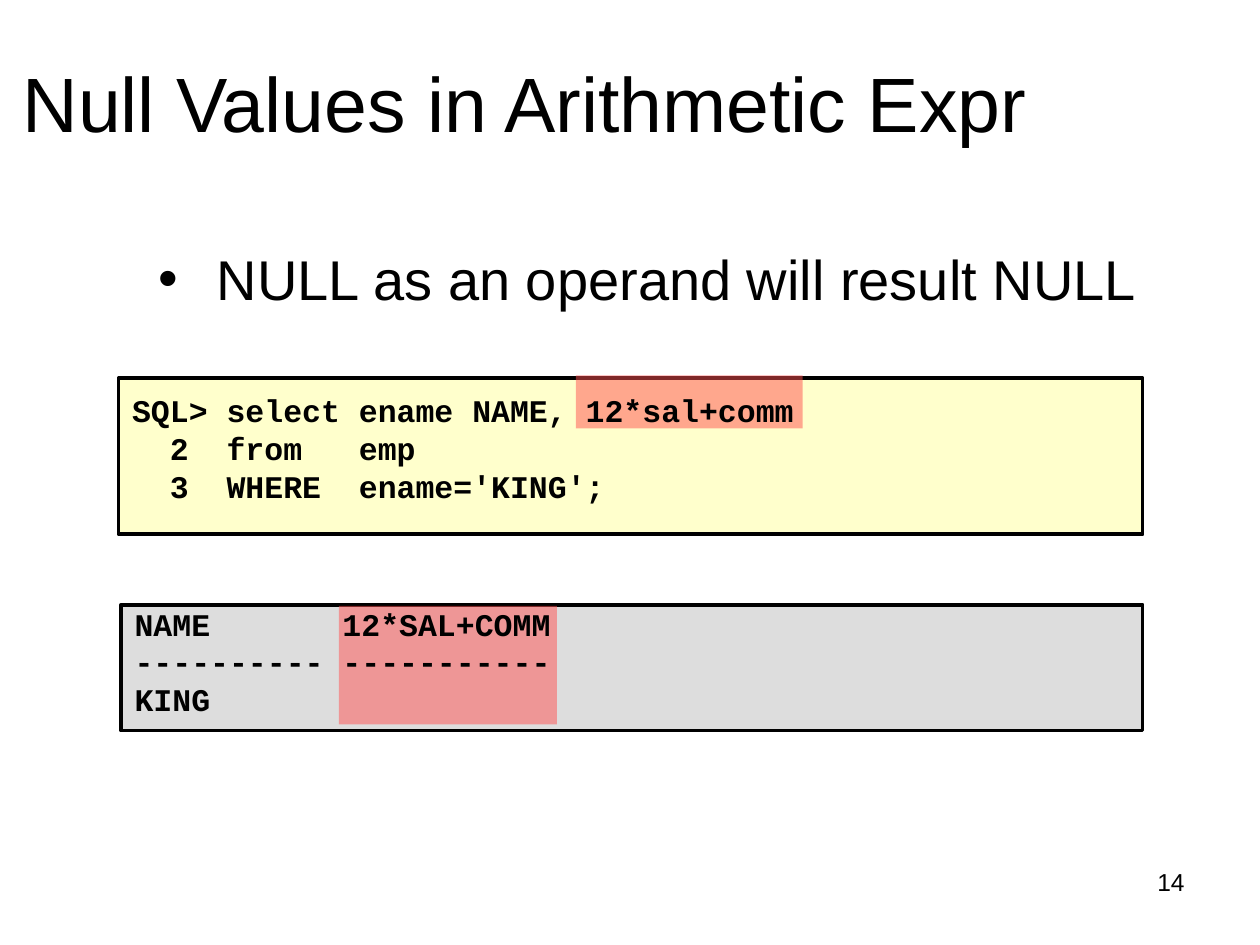
from lxml import etree
from pptx import Presentation
from pptx.dml.color import RGBColor
from pptx.enum import shapes, text
from pptx.oxml.ns import qn
from pptx.util import Inches, Pt

COLORS = {"ink": "000000", "query": "FFFFCC", "result": "DDDDDD", "highlight": "FF5050"}

QUERY = [
    "SQL> select ename NAME, 12*sal+comm",
    "  2  from   emp",
    "  3  WHERE  ename='KING';",
]
RESULT = [
    "NAME       12*SAL+COMM",
    "---------- -----------",
    "KING",
]


def color(name):
    return RGBColor.from_string(COLORS[name])


def add_text(slide, box, lines, size, font="Arial", bold=False,
             anchor=text.MSO_ANCHOR.TOP, align=text.PP_ALIGN.LEFT):
    frame = slide.shapes.add_textbox(*map(Inches, box)).text_frame
    frame.word_wrap = True
    frame.vertical_anchor = anchor
    for number, line in enumerate(lines):
        paragraph = frame.add_paragraph() if number else frame.paragraphs[0]
        paragraph.alignment = align
        run = paragraph.add_run()
        run.text = line
        run.font.size = Pt(size)
        run.font.name = font
        run.font.bold = bold
        run.font.color.rgb = color("ink")
    return frame


def add_rectangle(slide, box, fill, outlined=False, opacity=100):
    rectangle = slide.shapes.add_shape(shapes.MSO_SHAPE.RECTANGLE, *map(Inches, box))
    rectangle.shadow.inherit = False
    rectangle.fill.solid()
    rectangle.fill.fore_color.rgb = color(fill)
    if outlined:
        rectangle.line.color.rgb = color("ink")
        rectangle.line.width = Pt(2)
    else:
        rectangle.line.fill.background()
    if opacity < 100:
        tint = rectangle._element.spPr.find(qn("a:solidFill"))[0]
        etree.SubElement(tint, qn("a:alpha"), val=str(opacity * 1000))


def add_bullet_point(slide, box, point):
    frame = add_text(slide, box, [point], 32)
    frame.margin_top = Inches(0.11)
    properties = frame.paragraphs[0]._p.get_or_add_pPr()
    properties.set("marL", str(Inches(0.43)))
    properties.set("indent", str(-Inches(0.34)))
    etree.SubElement(properties, qn("a:buFont"), typeface="Arial")
    etree.SubElement(properties, qn("a:buChar"), char="•")


def add_code_panel(slide, box, fill, lines, highlight, text_top, text_height, anchor):
    """Highlight and text positions are relative to the panel's corner."""
    left, top, width, _ = box
    add_rectangle(slide, box, fill, outlined=True)
    dx, dy, mark_width, mark_height = highlight
    add_rectangle(slide, (left + dx, top + dy, mark_width, mark_height),
                  "highlight", opacity=50)
    add_text(slide, (left + 0.01, top + text_top, width + 0.03, text_height),
             lines, 18, "Courier New", True, anchor)


def build_slide(slide):
    # Title and bullet point
    add_text(slide, (0.08, 0.33, 9.17, 0.96), ["Null Values in Arithmetic Expr"], 44,
             anchor=text.MSO_ANCHOR.MIDDLE)
    add_bullet_point(slide, (1.07, 1.83, 8.08, 0.63),
                     " NULL as an operand will result NULL")

    # Query and its result, each with the expression highlighted
    add_code_panel(slide, (0.94, 3, 8.13, 1.24), "query", QUERY,
                   (3.63, -0.02, 1.8, 0.42), -0.08, 1.27, text.MSO_ANCHOR.MIDDLE)
    add_code_panel(slide, (0.96, 4.8, 8.11, 1), "result", RESULT,
                   (1.73, 0.01, 1.73, 0.94), -0.05, 1, text.MSO_ANCHOR.TOP)

    # Slide number
    add_text(slide, (7.17, 6.83, 2.33, 0.52), ["14"], 14, align=text.PP_ALIGN.RIGHT)


def main():
    deck = Presentation()
    deck.slide_width, deck.slide_height = Inches(10), Inches(7.5)
    build_slide(deck.slides.add_slide(deck.slide_layouts[6]))
    deck.save("out.pptx")


if __name__ == "__main__":
    main()
